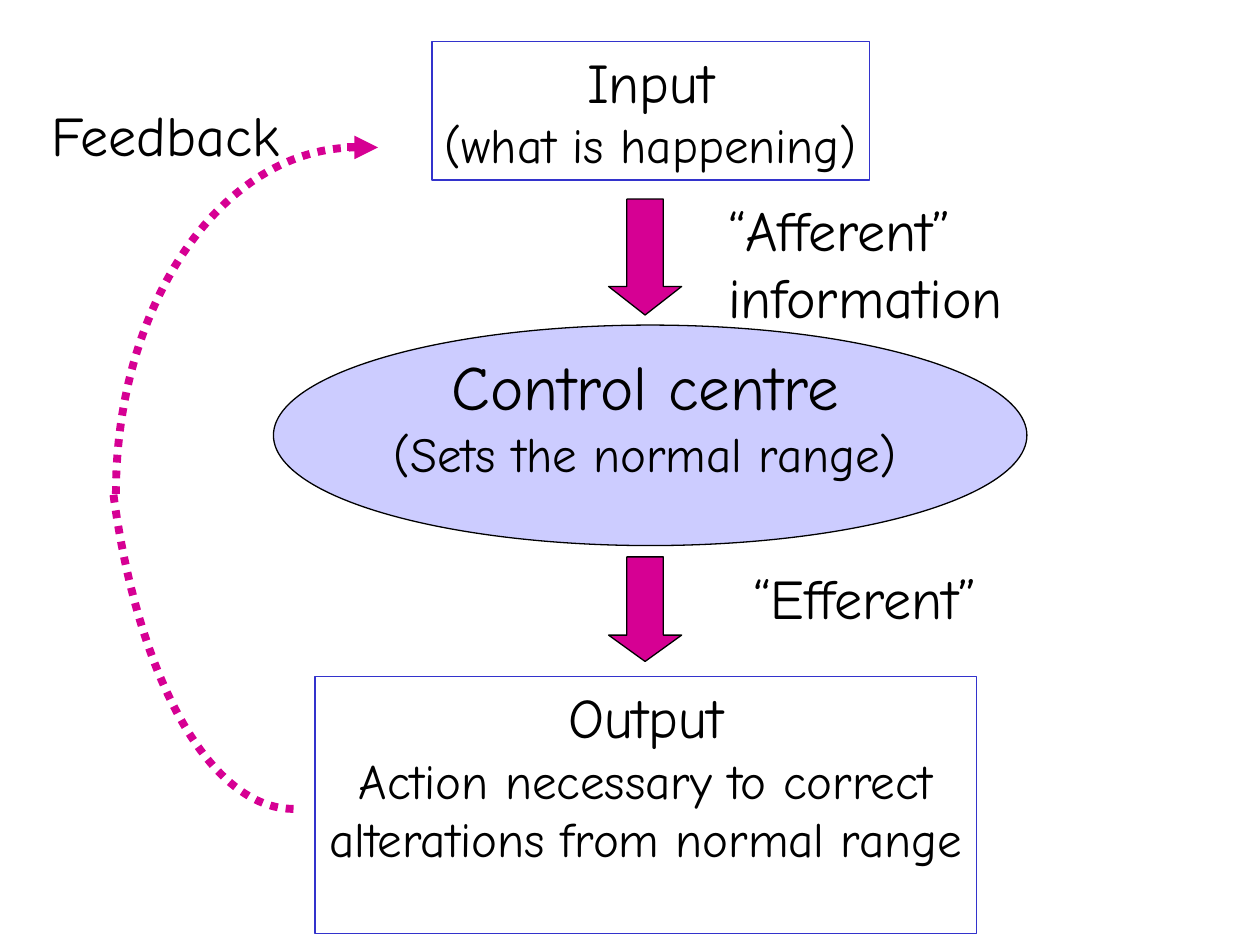
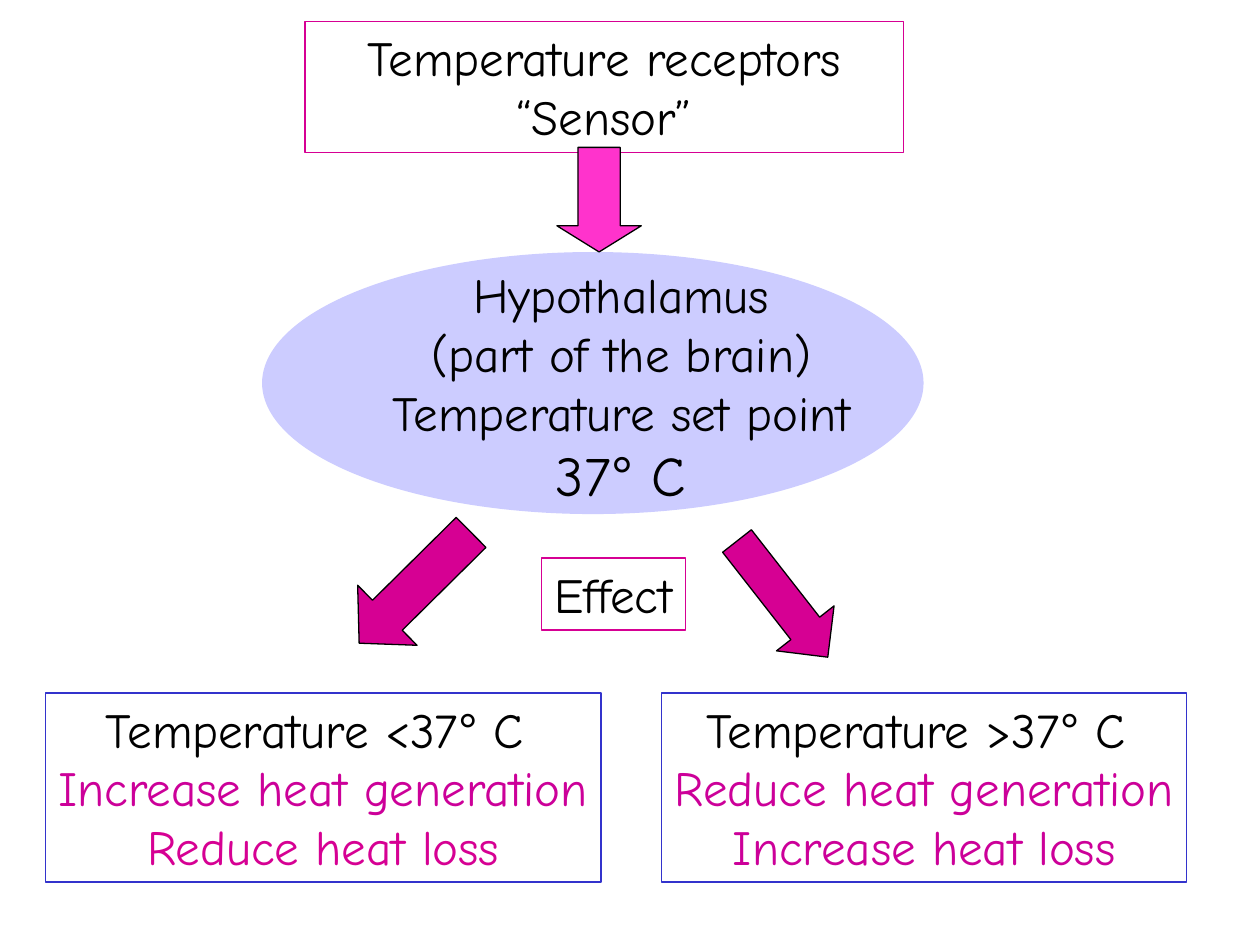
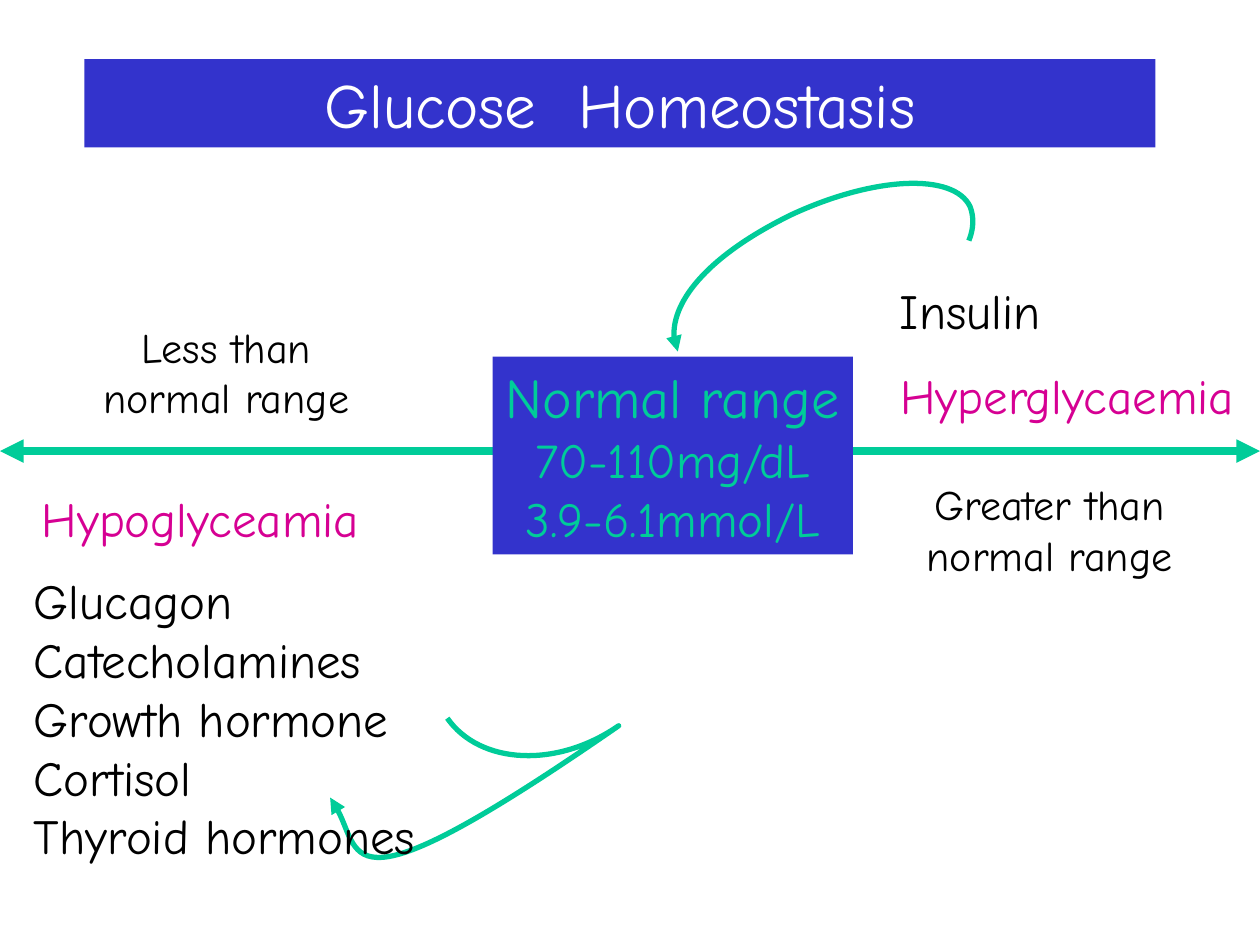
from lxml.etree import SubElement
from pptx import Presentation
from pptx.dml.color import RGBColor
from pptx.enum.dml import MSO_LINE
from pptx.enum.shapes import MSO_CONNECTOR, MSO_SHAPE
from pptx.enum.text import MSO_ANCHOR, PP_ALIGN
from pptx.oxml.ns import qn
from pptx.util import Inches, Pt

FONT = "Comic Neue"
BLACK, WHITE = "000000", "FFFFFF"
BLUE, LILAC, GREEN = "3333CC", "CCCCFF", "00CC99"
MAGENTA, PINK, PURPLE = "D60093", "FF33CC", "CC0099"
RECTANGLE, OVAL, ARROW = MSO_SHAPE.RECTANGLE, MSO_SHAPE.OVAL, MSO_SHAPE.DOWN_ARROW


def add_box(slide, kind, box, paragraphs=(), fill=None, line=None, center=True, wrap=False):
    position = [Inches(value) for value in box]
    if kind is None:
        shape = slide.shapes.add_textbox(*position)
    else:
        shape = slide.shapes.add_shape(kind, *position)
        shape.shadow.inherit = False
    if fill:
        shape.fill.solid()
        shape.fill.fore_color.rgb = RGBColor.from_string(fill)
    else:
        shape.fill.background()
    if line:
        shape.line.color.rgb = RGBColor.from_string(line)
        shape.line.width = Pt(0.75)
    else:
        shape.line.fill.background()
    frame = shape.text_frame
    frame.word_wrap = wrap
    frame.vertical_anchor = MSO_ANCHOR.TOP
    for index, (text, size, color) in enumerate(paragraphs):
        paragraph = frame.add_paragraph() if index else frame.paragraphs[0]
        paragraph.alignment = PP_ALIGN.CENTER if center else PP_ALIGN.LEFT
        paragraph.font.size = Pt(size)
        paragraph.font.name = FONT
        paragraph.font.color.rgb = RGBColor.from_string(color)
        before, degree, after = text.partition("°")
        for part in filter(None, (before, degree, after)):
            run = paragraph.add_run()
            run.text = part
            if part == "°":
                run.font.name = "Arial"
    return shape


def add_route(slide, points, color, width, dash=None, arrows=()):
    points = [(Inches(x), Inches(y)) for x, y in points]
    if len(points) == 2:
        route = slide.shapes.add_connector(MSO_CONNECTOR.STRAIGHT, *points[0], *points[1])
    else:
        builder = slide.shapes.build_freeform(*points[0])
        builder.add_line_segments(points[1:], close=False)
        route = builder.convert_to_shape()
        route.fill.background()
        outline = next(route.element.iter(qn("a:path")))
        segments = outline.findall(qn("a:lnTo"))
        for start in range(0, len(segments), 3):
            curve = SubElement(outline, qn("a:cubicBezTo"))
            for segment in segments[start:start + 3]:
                curve.append(segment[0])
                outline.remove(segment)
    route.line.color.rgb = RGBColor.from_string(color)
    route.line.width = Pt(width)
    if dash:
        route.line.dash_style = dash
    properties = route.element.spPr
    for arrow in arrows:
        SubElement(properties.find(qn("a:ln")), qn(f"a:{arrow}"), type="triangle")
    SubElement(properties, qn("a:effectLst"))


presentation = Presentation()
presentation.slide_width = Inches(10)
presentation.slide_height = Inches(7.5)
loop_slide, temperature_slide, glucose_slide = [
    presentation.slides.add_slide(presentation.slide_layouts[6]) for _ in range(3)
]

slide = loop_slide
add_box(slide, OVAL, (2.17, 2.58, 5.98, 1.75), fill=LILAC, line=BLACK)
add_box(slide, None, (3.02, 2.71, 4.2, 1.17),
        [("Control centre", 36, BLACK), ("(Sets the normal range)", 28, BLACK)])
add_box(slide, RECTANGLE, (3.43, 0.33, 3.47, 1.1),
        [("Input", 32, BLACK), ("(what is happening)", 28, BLACK)], line=BLUE)
add_box(slide, RECTANGLE, (2.5, 5.37, 5.25, 2.04),
        [("Output", 32, BLACK),
         ("Action necessary to correct alterations from normal range", 28, BLACK)],
        line=BLUE, wrap=True)
for top, height, head in ((1.58, 0.92, 0.39), (4.42, 0.83, 0.36)):
    arrow = add_box(slide, ARROW, (4.83, top, 0.58, height), fill=MAGENTA, line=BLACK)
    arrow.adjustments[1] = head
add_route(slide, [(2.33, 6.42), (1.68, 6.42), (1.1, 5.41), (0.9, 3.92)],
          MAGENTA, 4.5, MSO_LINE.ROUND_DOT)
add_route(slide, [(2.83, 1.17), (1.77, 1.17), (0.92, 2.4), (0.92, 3.92)],
          MAGENTA, 4.5, MSO_LINE.ROUND_DOT)
add_route(slide, [(2.75, 1.17), (3, 1.17)], MAGENTA, 4.5, arrows=["tailEnd"])
for box, lines in (
    ((5.68, 1.5, 2.39, 1.17), ["“Afferent”", "information"]),
    ((5.88, 4.42, 1.99, 1.17), ["“Efferent”"]),
    ((0.31, 0.75, 2.03, 0.64), ["Feedback"]),
):
    add_box(slide, None, box, [(text, 32, BLACK) for text in lines], center=False)

slide = temperature_slide
add_box(slide, RECTANGLE, (2.42, 0.17, 4.75, 1.04),
        [("Temperature receptors", 28, BLACK), ("“Sensor”", 28, BLACK)],
        line=MAGENTA, wrap=True)
add_box(slide, OVAL, (2.08, 2, 5.25, 2.08), fill=LILAC)
add_box(slide, None, (2.99, 2.05, 3.88, 2.04),
        [("Hypothalamus", 28, BLACK), ("(part of the brain)", 28, BLACK),
         ("Temperature set point", 28, BLACK), ("37° C", 32, BLACK)])
add_box(slide, RECTANGLE, (4.3, 4.43, 1.14, 0.57), [("Effect", 28, BLACK)],
        line=MAGENTA, center=False)
for box, condition, generation, loss, loss_color in (
    ((0.36, 5.5, 4.41, 1.5), "<37", "Increase", "Reduce", MAGENTA),
    ((5.25, 5.5, 4.17, 1.5), ">37", "Reduce", "Increase", PURPLE),
):
    add_box(slide, RECTANGLE, box,
            [(f"Temperature {condition}° C ", 28, BLACK),
             (f"{generation} heat generation", 28, PURPLE),
             (f"{loss} heat loss", 28, loss_color)], line=BLUE)
for box, rotation, head, color in (
    ((4.42, 1.17, 0.67, 0.83), 0, 0.31, PINK),
    ((2.96, 4.04, 0.67, 1.25), 45.3, 0.47, MAGENTA),
    ((5.92, 4.17, 0.58, 1.17), 322, 0.5, MAGENTA),
):
    arrow = add_box(slide, ARROW, box, fill=color, line=BLACK)
    arrow.adjustments[1] = head
    arrow.rotation = rotation

slide = glucose_slide
add_box(slide, RECTANGLE, (0.67, 0.47, 8.5, 0.7), [("Glucose  Homeostasis", 36, WHITE)],
        fill=BLUE, wrap=True)
add_route(slide, [(10, 3.58), (0, 3.58)], GREEN, 4.5, arrows=["headEnd", "tailEnd"])
add_box(slide, RECTANGLE, (3.91, 2.83, 2.86, 1.57),
        [("Normal range", 32, GREEN), ("70-110mg/dL", 28, GREEN), ("3.9-6.1mmol/L", 28, GREEN)],
        fill=BLUE)
add_route(slide, [(3.55, 5.7), (3.81, 6.07), (4.42, 6.1), (4.91, 5.76),
                  (2.7, 7.29), (2.89, 6.71), (2.62, 6.33)], GREEN, 3, arrows=["tailEnd"])
add_route(slide, [(7.69, 1.91), (7.73, 1.81), (7.73, 1.72), (7.7, 1.64),
                  (7.57, 1.37), (6.94, 1.4), (6.29, 1.7),
                  (5.65, 2.01), (5.23, 2.48), (5.38, 2.79)], GREEN, 3, arrows=["tailEnd"])
hormones = ["Glucagon", "Catecholamines", "Growth hormone", "Cortisol", "Thyroid hormones"]
add_box(slide, None, (0.17, 4.48, 3.67, 2.44), [(name, 28, BLACK) for name in hormones],
        center=False, wrap=True)
for box, text, size, color, wrap in (
    ((0.23, 3.83, 2.72, 0.57), "Hypoglyceamia", 28, MAGENTA, False),
    ((0.67, 2.5, 2.25, 0.9), "Less than normal range", 24, BLACK, True),
    ((7.04, 2.85, 2.86, 0.57), "Hyperglycaemia", 28, MAGENTA, False),
    ((7, 2.18, 1.4, 0.57), "Insulin", 28, BLACK, False),
    ((7.08, 3.75, 2.5, 0.9), "Greater than normal range", 24, BLACK, True),
):
    add_box(slide, None, box, [(text, size, color)], wrap=wrap)

presentation.save("out.pptx")
